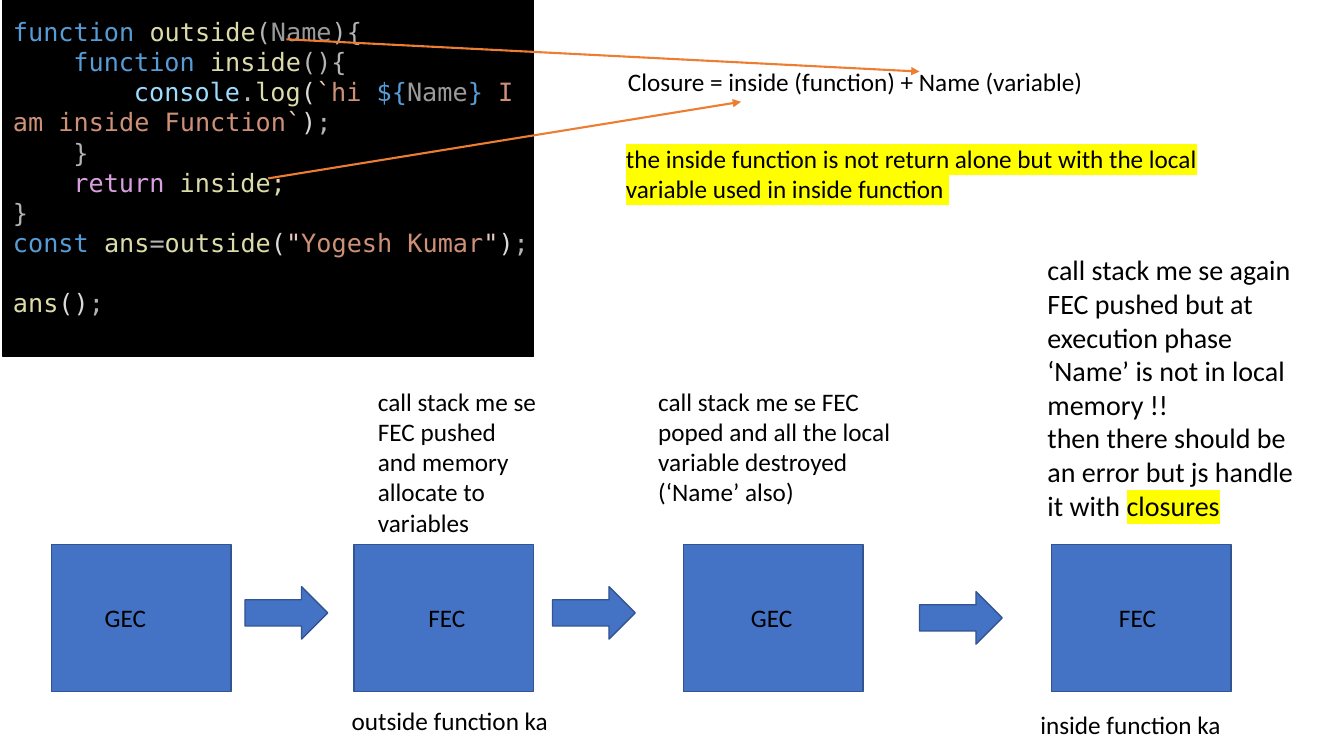
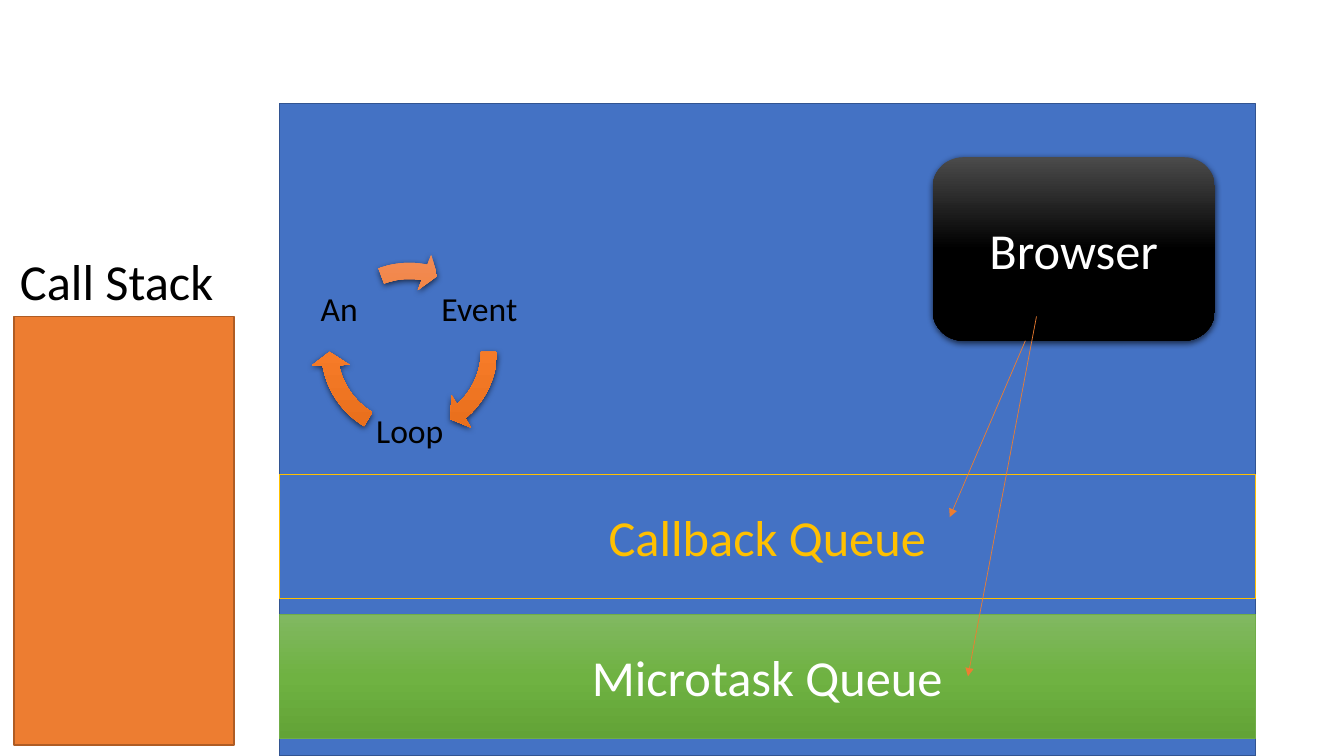
import typing
from dataclasses import dataclass

import lxml.etree
import pptx
import pptx.dml.color
import pptx.enum.dml
import pptx.enum.shapes
import pptx.enum.text
import pptx.oxml.ns
import pptx.util

Inches, Pt, qn = pptx.util.Inches, pptx.util.Pt, pptx.oxml.ns.qn
SHAPE = pptx.enum.shapes.MSO_SHAPE
ALIGN = pptx.enum.text.PP_ALIGN
ANCHOR = pptx.enum.text.MSO_ANCHOR
FIT = pptx.enum.text.MSO_AUTO_SIZE

FONT, CODE_FONT = "Calibri", "DejaVu Sans Mono"
BLACK, WHITE, YELLOW, GOLD = "000000", "FFFFFF", "FFFF00", "FFC000"
BLUE, BLUE_EDGE = "4472C4", "325491"
ORANGE, ORANGE_EDGE, GREEN = "ED7D31", "AF5C24", "70AD47"
ORANGE_BLEND = ["F18C57", "F67B28", "E56C19"]
GREEN_BLEND = ["81B861", "6FB242", "62A336"]
BLACK_BLEND = ["4B4B4B", BLACK, BLACK]

KEYWORD, CALL, PUNCT, PARAM, PLAIN = "569CD6", "DCDCAA", "B4B4B4", "9A9A9A", "DADADA"
OBJECT, QUOTE, STRING, RETURN = "9CDCFE", "E8C9BB", "CE9178", "D8A0DF"
CODE_INDENT = 0.6  # four characters of 18 pt code

Fill = str | list[str] | None


class Box(typing.NamedTuple):
    left: float
    top: float
    width: float
    height: float


class Run(typing.NamedTuple):
    text: str
    color: str = BLACK
    highlight: str | None = None


@dataclass
class Para:
    runs: list[Run]
    level: int = 0
    before: float = 0


class Step(typing.NamedTuple):
    name: str
    left: float
    label_left: float


class CyclePart(typing.NamedTuple):
    word: str
    left: float
    top: float
    arrow_end: float
    arrow_start: float


CODE = [
    Para([Run("function ", KEYWORD), Run("outside", CALL), Run("(", PUNCT),
          Run("Name", PARAM), Run("){", PUNCT)]),
    Para([Run("function ", KEYWORD), Run("inside", CALL), Run("(){", PUNCT)], 1),
    Para([Run("console", OBJECT), Run(".", PUNCT), Run("log", CALL), Run("(", PLAIN),
          Run("`", QUOTE), Run("hi ", STRING), Run("${", KEYWORD), Run("Name", PARAM),
          Run("}", KEYWORD), Run(" I am inside Function", STRING), Run("`", QUOTE),
          Run(")", PLAIN), Run(";", PUNCT)], 2),
    Para([Run("}", PUNCT)], 1),
    Para([Run("return ", RETURN), Run("inside;", CALL)], 1),
    Para([Run("}", PUNCT)]),
    Para([Run("const ", KEYWORD), Run("ans", CALL), Run("=", PUNCT), Run("outside", CALL),
          Run("(", PLAIN), Run('"', QUOTE), Run("Yogesh Kumar", STRING), Run('"', QUOTE),
          Run(")", PLAIN), Run(";", PUNCT)]),
    Para([Run("ans", CALL), Run("()", PLAIN), Run(";", PUNCT)], before=21),
]

STEPS = [Step("GEC", 0.51, 0.94), Step("FEC", 3.51, 4.15),
         Step("GEC", 6.78, 7.35), Step("FEC", 10.43, 11)]
STEP_ARROWS = [(2.43, 5.82), (5.48, 5.82), (9.12, 5.87)]

NOTES = [
    (Box(3.39, 6.95, 2.53, 0.4), "outside function ka"),
    (Box(10.22, 6.99, 2.53, 0.4), "inside function ka"),
    (Box(6.43, 3.78, 2.7, 1.31),
     "call stack me se FEC poped and all the local variable destroyed (‘Name’ also)"),
    (Box(3.65, 3.78, 1.77, 1.62),
     "call stack me se FEC pushed and memory allocate to variables"),
    (Box(6.13, 0.61, 5.51, 0.4), "Closure = inside (function) + Name (variable)"),
]
ERROR_NOTE = [
    Para([Run("call stack me se again FEC pushed but at execution phase "
              "‘Name’ is not in local memory !!")]),
    Para([Run("then there should be an error but js handle it with "),
          Run("closures", highlight=YELLOW)]),
]
CLOSURE_NOTE = [Para([Run("the inside function is not return alone but with the local "
                          "variable used in inside function ", highlight=YELLOW)])]

CYCLE = [CyclePart("Event", 4.34, 2.67, 29.647, 0.512),
         CyclePart("Loop", 3.65, 3.88, 101.729, 72.594),
         CyclePart("An", 2.95, 2.67, 168.575, 149.666)]


def rgb(value: str) -> pptx.dml.color.RGBColor:
    return pptx.dml.color.RGBColor.from_string(value)


def put(obj: typing.Any, values: dict[str, typing.Any]) -> None:
    for name, value in values.items():
        setattr(obj, name, value)


def sub(parent: typing.Any, tag: str, **attrs: typing.Any) -> typing.Any:
    """Append a DrawingML element."""
    return lxml.etree.SubElement(parent, qn(tag), {k: str(v) for k, v in attrs.items()})


def inches(box: Box) -> list[int]:
    return [Inches(v) for v in box]


def paint(sp: typing.Any, fill: Fill) -> None:
    """Fill with a colour, a top-down blend of evenly spaced colours, or nothing."""
    if fill is None:
        sp.fill.background()
    elif isinstance(fill, str):
        sp.fill.solid()
        sp.fill.fore_color.rgb = rgb(fill)
    else:
        sp.fill.gradient()
        sp.fill.gradient_angle = 270
        stops = sp._element.spPr.find(".//" + qn("a:gsLst"))
        stops.clear()
        for i, color in enumerate(fill):
            gs = sub(stops, "a:gs", pos=100000 * i // (len(fill) - 1))
            sub(gs, "a:srgbClr", val=color)


def cast_shadow(sp: typing.Any) -> None:
    effects = sp._element.spPr.find(qn("a:effectLst"))
    shadow = sub(effects, "a:outerShdw", blurRad=Pt(4.5), dist=Pt(1.5), dir=5400000,
                 algn="ctr", rotWithShape=0)
    sub(sub(shadow, "a:srgbClr", val=BLACK), "a:alpha", val=63000)


def add_shape(shapes: typing.Any, kind: typing.Any, box: Box, fill: Fill,
              line: str | None = None, width: float = 1, shadow: bool = False) -> typing.Any:
    sp = shapes.add_shape(kind, *inches(box))
    sp.shadow.inherit = False
    paint(sp, fill)
    if line:
        sp.line.color.rgb = rgb(line)
        sp.line.width = Pt(width)
    else:
        sp.line.fill.background()
    if shadow:
        cast_shadow(sp)
    return sp


def write(tf: typing.Any, paras: list[Para], size: float = 18, font: str = FONT,
          **layout: typing.Any) -> None:
    """Write paragraphs; layout holds paragraph format values."""
    for i, para in enumerate(paras):
        p = tf.add_paragraph() if i else tf.paragraphs[0]
        put(p, {"space_before": Pt(para.before)} | layout)
        if para.level:
            p._p.get_or_add_pPr().set("indent", str(Inches(para.level * CODE_INDENT)))
        for run in para.runs:
            r = p.add_run()
            r.text = run.text
            put(r.font, {"size": Pt(size), "name": font})
            r.font.color.rgb = rgb(run.color)
            if run.highlight:
                mark = lxml.etree.Element(qn("a:highlight"))
                sub(mark, "a:srgbClr", val=run.highlight)
                r._r.rPr.find(qn("a:solidFill")).addnext(mark)


def add_text(shapes: typing.Any, box: Box, paras: list[Para], size: float = 18,
             font: str = FONT, wrap: bool = True) -> None:
    tf = shapes.add_textbox(*inches(box)).text_frame
    put(tf, {"word_wrap": wrap, "auto_size": FIT.SHAPE_TO_FIT_TEXT})
    write(tf, paras, size, font)


def add_caption(sp: typing.Any, text: str, color: str) -> None:
    sp.text_frame.vertical_anchor = ANCHOR.MIDDLE
    write(sp.text_frame, [Para([Run(text, color)])], 36, alignment=ALIGN.CENTER)


def add_pointer(shapes: typing.Any, start: tuple[float, float], end: tuple[float, float],
                width: float) -> None:
    cx = shapes.add_connector(pptx.enum.shapes.MSO_CONNECTOR.STRAIGHT,
                              *[Inches(v) for v in (*start, *end)])
    cx.line.color.rgb = rgb(ORANGE)
    cx.line.width = Pt(width)
    sub(cx.line._get_or_add_ln(), "a:tailEnd", type="triangle")
    sub(cx._element.spPr, "a:effectLst")


def add_cycle(shapes: typing.Any) -> None:
    group = shapes.add_group_shape().shapes
    for part in CYCLE:
        tf = group.add_textbox(*inches(Box(part.left, part.top, 0.83, 0.83))).text_frame
        margins = {f"margin_{side}": Inches(0.03) for side in ("left", "top", "right", "bottom")}
        put(tf, {"word_wrap": True, "vertical_anchor": ANCHOR.MIDDLE} | margins)
        write(tf, [Para([Run(part.word)])], 24, alignment=ALIGN.CENTER, line_spacing=0.9)
        sp = add_shape(group, SHAPE.CIRCULAR_ARROW, Box(3.08, 2.5, 1.96, 1.96),
                       ORANGE_BLEND, shadow=True)
        for i, value in enumerate((0.082, 5.759, part.arrow_end, part.arrow_start, 0.096)):
            sp.adjustments[i] = value


def build_closure_slide(shapes: typing.Any) -> None:
    add_shape(shapes, SHAPE.RECTANGLE, Box(0.03, 0, 5.26, 3.54), BLACK, BLACK)
    add_text(shapes, Box(0.03, 0.11, 5.45, 2.83), CODE, font=CODE_FONT)
    for step in STEPS:
        add_shape(shapes, SHAPE.RECTANGLE, Box(step.left, 5.4, 1.78, 1.46), BLUE, BLUE_EDGE)
        add_text(shapes, Box(step.label_left, 5.93, 0.64, 0.4), [Para([Run(step.name)])])
    for left, top in STEP_ARROWS:
        add_shape(shapes, SHAPE.RIGHT_ARROW, Box(left, top, 0.82, 0.52), BLUE, BLUE_EDGE)
    for box, text in NOTES:
        add_text(shapes, box, [Para([Run(text)])])
    add_text(shapes, Box(10.29, 2.46, 2.7, 2.79), ERROR_NOTE, 20)
    add_pointer(shapes, (2.66, 1.77), (7.35, 1.01), 1.5)
    add_pointer(shapes, (2.84, 0.39), (9.12, 0.71), 1.5)
    add_text(shapes, Box(6.11, 1.37, 6.63, 0.71), CLOSURE_NOTE)


def build_event_loop_slide(shapes: typing.Any) -> None:
    add_shape(shapes, SHAPE.RECTANGLE, Box(2.77, 1.03, 9.68, 6.47), BLUE, BLUE_EDGE)
    add_shape(shapes, SHAPE.RECTANGLE, Box(0.14, 3.14, 2.18, 4.25), ORANGE, ORANGE_EDGE)
    add_cycle(shapes)
    callback = add_shape(shapes, SHAPE.RECTANGLE, Box(2.77, 4.71, 9.68, 1.23),
                         None, GOLD, 0.75)
    add_caption(callback, "Callback Queue", GOLD)
    microtask = add_shape(shapes, SHAPE.RECTANGLE, Box(2.77, 6.1, 9.68, 1.23),
                          GREEN_BLEND, GREEN, 0.5)
    add_caption(microtask, "Microtask Queue", WHITE)
    add_text(shapes, Box(0.1, 2.43, 2.14, 0.71), [Para([Run("Call Stack")])], 36, wrap=False)
    browser = add_shape(shapes, SHAPE.ROUNDED_RECTANGLE, Box(9.25, 1.56, 2.8, 1.82),
                        BLACK_BLEND, shadow=True)
    add_caption(browser, "Browser", WHITE)
    add_pointer(shapes, (10.17, 3.38), (9.42, 5.13), 0.5)
    add_pointer(shapes, (10.28, 3.14), (9.6, 6.71), 0.5)


def main() -> None:
    prs = pptx.Presentation()
    put(prs, {"slide_width": Inches(13.33), "slide_height": Inches(7.5)})
    for build in (build_closure_slide, build_event_loop_slide):
        build(prs.slides.add_slide(prs.slide_layouts[6]).shapes)
    prs.save("out.pptx")


if __name__ == "__main__":
    main()
